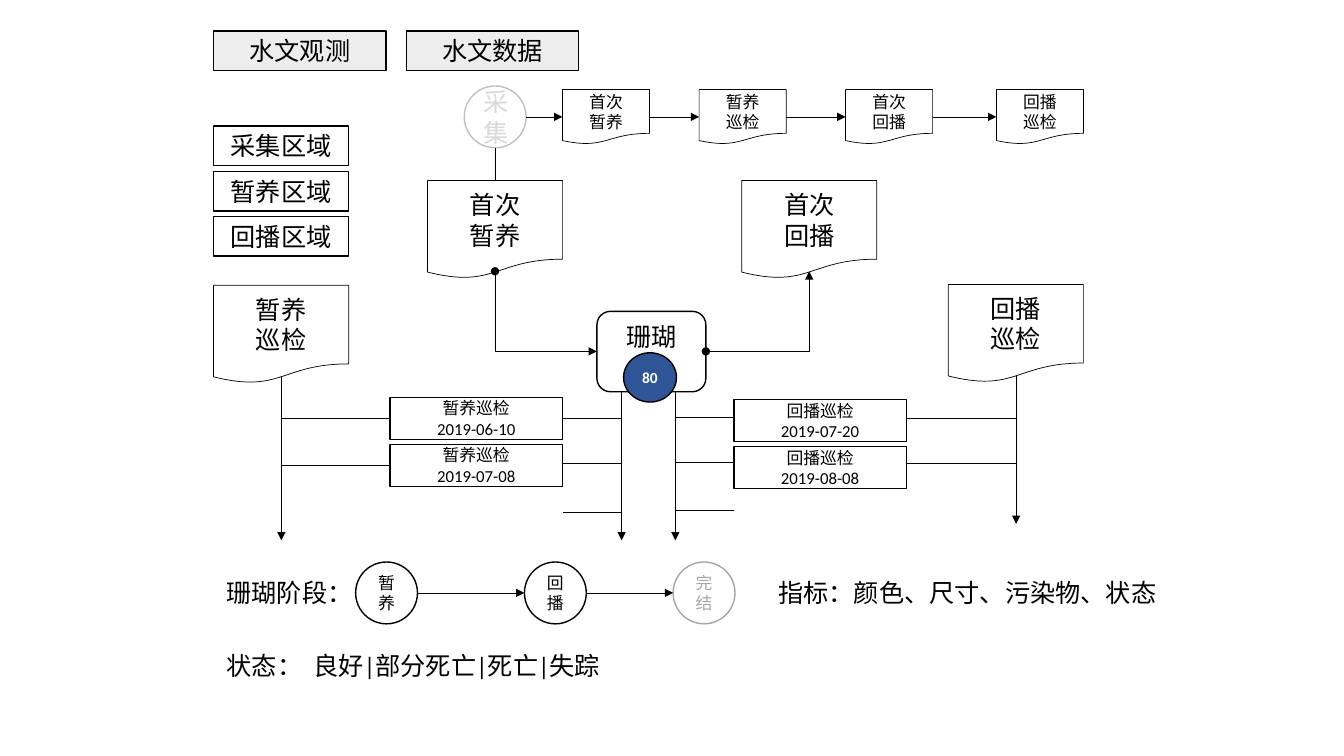
import pptx
import pptx.util
import pptx.dml.color
import pptx.enum.shapes
import pptx.enum.text
import pptx.oxml.ns
import lxml.etree

Pt = pptx.util.Pt
Kind = pptx.enum.shapes.MSO_SHAPE
Route = pptx.enum.shapes.MSO_CONNECTOR
Align = pptx.enum.text.PP_ALIGN
qn = pptx.oxml.ns.qn

theme = {
    "font": "Calibri",
    "ink": "000000", "paper": "FFFFFF", "header": "EDEDED", "badge": "2F5597",
    "source_line": "BFBFBF", "source_text": "D9D9D9", "done": "A6A6A6",
    "large": 18, "small": 12, "count": 11, "thin": 0.5, "border": 1,
}

deck = pptx.Presentation()
deck.slide_width, deck.slide_height = Pt(960), Pt(540)
page = deck.slides.add_slide(deck.slide_layouts[6])


def add_box(kind, left, top, width, height, text, size="large", fill="paper",
            line="ink", color="ink", weight="border"):
    if kind is None:
        box = page.shapes.add_textbox(Pt(left), Pt(top), Pt(width), Pt(height))
    else:
        box = page.shapes.add_shape(kind, Pt(left), Pt(top), Pt(width), Pt(height))
        box.shadow.inherit = False
        if fill:
            box.fill.solid()
            box.fill.fore_color.rgb = pptx.dml.color.RGBColor.from_string(theme[fill])
        else:
            box.fill.background()
        box.line.color.rgb = pptx.dml.color.RGBColor.from_string(theme[line])
        box.line.width = Pt(theme[weight])
        box.text_frame.vertical_anchor = pptx.enum.text.MSO_ANCHOR.MIDDLE
    box.text_frame.word_wrap = kind is not None
    box.text_frame.text = text
    for para in box.text_frame.paragraphs:
        para.alignment = Align.LEFT if kind is None else Align.CENTER
        for span in para.runs:
            span.font.name = theme["font"]
            span.font.size = Pt(theme[size])
            span.font.color.rgb = pptx.dml.color.RGBColor.from_string(theme[color])
    return box


def add_line(x1, y1, x2, y2, head=None, tail=None, route=Route.STRAIGHT):
    link = page.shapes.add_connector(route, Pt(x1), Pt(y1), Pt(x2), Pt(y2))
    link.line.color.rgb = pptx.dml.color.RGBColor.from_string(theme["ink"])
    link.line.width = Pt(theme["thin"])
    outline = link.line._get_or_add_ln()
    for end, style in (("a:headEnd", head), ("a:tailEnd", tail)):
        if style:
            lxml.etree.SubElement(outline, qn(end)).set("type", style)
    lxml.etree.SubElement(link._element.spPr, qn("a:effectLst"))
    return link


for left, top, text in (
    (305.4, 129, "首次\n暂养"),
    (529.8, 129, "首次\n回播"),
    (152.6, 203.8, "暂养\n巡检"),
    (677.4, 203.2, "回播\n巡检"),
):
    add_box(Kind.FLOWCHART_DOCUMENT, left, top, 96.5, 70, text, fill=None, weight="thin")

coral = add_box(Kind.ROUNDED_RECTANGLE, 426.4, 222.4, 77.8, 57.4, "珊瑚")
coral.text_frame.margin_bottom = Pt(25)

for trunk, outer, levels in (
    (444, 402, (299, 331, 365.8)),
    (482.4, 524.2, (298, 330, 364.4)),
):
    add_line(trunk, 279.5, trunk, 386, tail="triangle")
    for level in levels:
        add_line(outer, level, trunk, level)

for left, top, label, dates in (
    (278.6, 283.8, "暂养巡检", ("2019-06-10", "2019-07-08")),
    (524.2, 285.4, "回播巡检", ("2019-07-20", "2019-08-08")),
):
    for row, date in enumerate(dates):
        add_box(Kind.FLOWCHART_PROCESS, left, top + row * 33.6, 123.2, 30,
                f"{label}\n{date}", size="small")

for trunk, inner, bottom, levels in (
    (201, 278.6, 386, (299, 332.4)),
    (725.8, 647.4, 374.2, (299, 331)),
):
    add_line(trunk, 268.6, trunk, bottom, tail="triangle")
    for level in levels:
        add_line(inner, level, trunk, level)

for document_x, coral_x, turn, head, tail in (
    (353.6, 426.4, 270, "oval", "triangle"),
    (578, 504.2, 90, "triangle", "oval"),
):
    top, bottom = 193.8, 251
    middle_x, middle_y = (document_x + coral_x) / 2, (top + bottom) / 2
    half_x, half_y = (bottom - top) / 2, abs(coral_x - document_x) / 2
    side = 1 if turn == 270 else -1
    elbow = add_line(middle_x + side * half_x, middle_y - half_y,
                     middle_x - side * half_x, middle_y + half_y,
                     head, tail, Route.ELBOW)
    elbow._element.spPr.find(qn("a:xfrm")).set("rot", str(turn * 60000))
    elbow._element.spPr.find(qn("a:prstGeom")).set("prst", "bentConnector2")

add_box(Kind.OVAL, 331.6, 61.4, 44.2, 44.2, "采集", line="source_line", color="source_text")
add_line(353.6, 105.6, 353.6, 129)
badge = add_box(Kind.OVAL, 445.4, 252, 37.8, 35.2, "80", size="count",
                fill="badge", color="paper")
badge.text_frame.paragraphs[0].runs[0].font.bold = True

for row, zone in enumerate(("采集区域", "暂养区域", "回播区域")):
    add_box(Kind.RECTANGLE, 152.6, 90 + row * 32.4, 96.5, 28.2, zone)
for column, header in enumerate(("水文观测", "水文数据")):
    add_box(Kind.RECTANGLE, 152.6 + column * 137.6, 22.2, 123.2, 28.2, header, fill="header")

previous = None
for left, stage, color in (
    (254, "暂养", "ink"), (374.6, "回播", "ink"), (480.8, "完结", "done"),
):
    add_box(Kind.OVAL, left, 401.4, 44.2, 44.2, stage, size="small", line=color, color=color)
    if previous:
        add_line(previous, 423.5, left, 423.5, tail="triangle")
    previous = left + 44.2

add_box(None, 154.8, 409, 96.5, 29, "珊瑚阶段：")
add_box(None, 548.8, 409, 303, 29, "指标：颜色、尺寸、污染物、状态")
states = add_box(None, 154.8, 461, 337, 29, "状态：\t良好|部分死亡|死亡|失踪")
tabs = lxml.etree.SubElement(states.text_frame.paragraphs[0]._p.get_or_add_pPr(), qn("a:tabLst"))
lxml.etree.SubElement(tabs, qn("a:tab"), pos=str(Pt(62)), algn="l")

previous = 375.8
for left, step in (
    (401.8, "首次\n暂养"), (499.4, "暂养\n巡检"), (604, "首次\n回播"), (711.8, "回播\n巡检"),
):
    add_box(Kind.FLOWCHART_DOCUMENT, left, 64, 62.2, 39, step, size="small",
            fill=None, weight="thin")
    add_line(previous, 83.5, left, 83.5, tail="triangle")
    previous = left + 62.2

deck.save("out.pptx")
